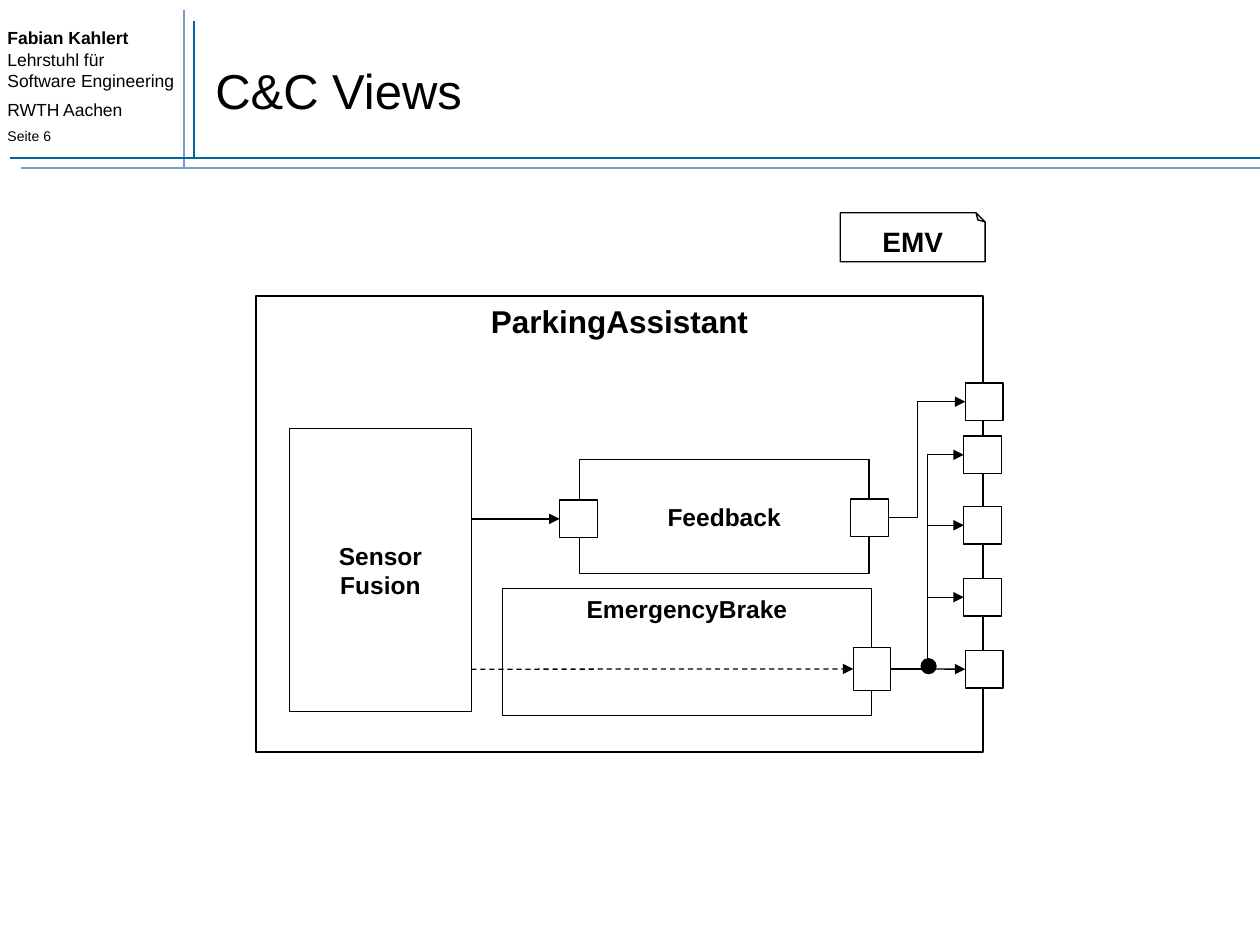
from pptx import Presentation
from pptx.dml.color import RGBColor
from pptx.enum.dml import MSO_LINE
from pptx.enum.shapes import MSO_CONNECTOR, MSO_SHAPE
from pptx.enum.text import MSO_ANCHOR, MSO_AUTO_SIZE, PP_ALIGN
from pptx.oxml.ns import qn
from pptx.util import Cm, Pt
from lxml import etree

BLACK = RGBColor(0x00, 0x00, 0x00)
WHITE = RGBColor(0xFF, 0xFF, 0xFF)
DARK_BLUE = RGBColor(0x00, 0x67, 0xA6)
LIGHT_BLUE = RGBColor(0x77, 0x9E, 0xC9)
FONT = "Arial"
STRAIGHT = MSO_CONNECTOR.STRAIGHT
ELBOW = MSO_CONNECTOR.ELBOW
RECTANGLE = MSO_SHAPE.RECTANGLE
FOLDED_CORNER = MSO_SHAPE.FOLDED_CORNER
OVAL = MSO_SHAPE.OVAL
DASH = MSO_LINE.DASH
TOP = MSO_ANCHOR.TOP
MIDDLE = MSO_ANCHOR.MIDDLE
CENTER = PP_ALIGN.CENTER
LEFT = PP_ALIGN.LEFT
NO_AUTOFIT = MSO_AUTO_SIZE.NONE
TITLE_ONLY = 5
LEFT_SIDE, RIGHT_SIDE = 1, 3
PORT_SIZE = 0.76


def add_run(paragraph, text, size, bold=False):
    run = paragraph.add_run()
    run.text = text
    run.font.name = FONT
    run.font.size = Pt(size)
    run.font.bold = bold
    run.font.color.rgb = BLACK


def set_guide(shape, name, value):
    geometry = shape._element.spPr.find(qn("a:prstGeom"))
    guides = geometry.find(qn("a:avLst"))
    if guides is None:
        guides = etree.SubElement(geometry, qn("a:avLst"))
    etree.SubElement(guides, qn("a:gd"), name=name, fmla=f"val {value}")


def add_figure(slide, kind, left, top, width, height, fill=WHITE):
    shape = slide.shapes.add_shape(kind, Cm(left), Cm(top), Cm(width), Cm(height))
    shape.shadow.inherit = False
    shape.fill.solid()
    shape.fill.fore_color.rgb = fill
    shape.line.color.rgb = BLACK
    shape.line.width = Pt(0.75)
    return shape


def add_label(shape, lines, size, anchor):
    frame = shape.text_frame
    frame.vertical_anchor = anchor
    for index, line in enumerate(lines):
        paragraph = frame.add_paragraph() if index else frame.paragraphs[0]
        paragraph.alignment = CENTER
        add_run(paragraph, line, size, True)


def add_component(slide, lines, box, size=14, anchor=MIDDLE):
    shape = add_figure(slide, RECTANGLE, *box)
    add_label(shape, lines, size, anchor)


def add_port(slide, left, top, height=PORT_SIZE):
    return add_figure(slide, RECTANGLE, left, top, PORT_SIZE, height)


def add_line(slide, start, end, color=BLACK, width=0.75, kind=STRAIGHT):
    connector = slide.shapes.add_connector(
        kind, Cm(start[0]), Cm(start[1]), Cm(end[0]), Cm(end[1]))
    connector.line.color.rgb = color
    connector.line.width = Pt(width)
    etree.SubElement(connector._element.spPr, qn("a:effectLst"))
    return connector


def add_arrow(slide, start, end, kind=STRAIGHT, dash=None):
    connector = add_line(slide, start, end, kind=kind)
    if dash:
        connector.line.dash_style = dash
    line = connector._element.spPr.find(qn("a:ln"))
    etree.SubElement(line, qn("a:tailEnd"), type="triangle")
    return connector


def add_elbow_arrow(slide, start, end, bend):
    connector = add_arrow(slide, start, end, ELBOW)
    set_guide(connector, "adj1", bend)


def add_header(slide):
    box = slide.shapes.add_textbox(Cm(-0.1), Cm(0.43), Cm(3.89), Cm(2.69))
    frame = box.text_frame
    frame.word_wrap = True
    author = frame.paragraphs[0]
    add_run(author, "Fabian Kahlert", 10, True)
    author.add_line_break()
    add_run(author, "Lehrstuhl für Software Engineering", 10)
    for text, size, space in (("RWTH Aachen", 10, 5), ("Seite 6", 8, 4)):
        paragraph = frame.add_paragraph()
        paragraph.space_before = Pt(space)
        add_run(paragraph, text, size)

    for start, end, color in (
        ((3.91, 3.18), (3.91, 0.43), DARK_BLUE),
        ((3.71, 3.38), (3.71, 0.2), LIGHT_BLUE),
        ((0.2, 3.18), (25.4, 3.18), DARK_BLUE),
        ((0.43, 3.38), (25.4, 3.38), LIGHT_BLUE),
    ):
        add_line(slide, start, end, color, 1)


def format_title(slide):
    title = slide.shapes.title
    title.left, title.top = Cm(4.09), Cm(0.64)
    title.width, title.height = Cm(21), Cm(2.34)
    frame = title.text_frame
    frame.auto_size = NO_AUTOFIT
    frame.vertical_anchor = MIDDLE
    frame.margin_left = frame.margin_right = Cm(0.25)
    frame.margin_top = frame.margin_bottom = Cm(0.25)
    paragraph = frame.paragraphs[0]
    paragraph.alignment = LEFT
    add_run(paragraph, "C&C Views", 28)


def add_view_tag(slide):
    tag = add_figure(slide, FOLDED_CORNER, 16.94, 4.29, 2.92, 0.99)
    set_guide(tag, "adj", 18500)
    tag._element.spPr.find(qn("a:xfrm")).set("flipV", "1")
    add_label(tag, ["EMV"], 16, MIDDLE)
    tag.text_frame.word_wrap = False
    tag.text_frame._txBody.find(qn("a:bodyPr")).set("rot", "10800000")


def add_diagram(slide):
    add_component(slide, ["ParkingAssistant"], (5.16, 5.97, 14.66, 9.19), 18, TOP)
    add_component(slide, ["Sensor", "Fusion"], (5.84, 8.64, 3.66, 5.71))
    add_component(slide, ["EmergencyBrake"], (10.13, 11.86, 7.44, 2.57), anchor=TOP)
    add_component(slide, ["Feedback"], (11.68, 9.27, 5.84, 2.29))

    feedback_input = add_port(slide, 11.28, 10.08)
    add_port(slide, 17.15, 10.06)
    brake_output = add_port(slide, 17.2, 13.05, 0.87)
    add_port(slide, 19.46, 7.72)
    last_output = add_port(slide, 19.46, 13.11)

    for top in (8.79, 10.21, 11.66):
        add_port(slide, 19.43, top)
        add_elbow_arrow(slide, (17.96, 13.49), (19.43, top + PORT_SIZE / 2), 50000)
    add_elbow_arrow(slide, (17.92, 10.44), (19.46, 8.1), 37500)

    output_arrow = add_arrow(slide, (17.96, 13.49), (19.46, 13.49))
    output_arrow.begin_connect(brake_output, RIGHT_SIDE)
    output_arrow.end_connect(last_output, LEFT_SIDE)
    add_figure(slide, OVAL, 18.57, 13.28, 0.3, 0.3, BLACK)

    feedback_arrow = add_arrow(slide, (9.5, 10.46), (11.28, 10.46))
    feedback_arrow.end_connect(feedback_input, LEFT_SIDE)
    brake_arrow = add_arrow(slide, (9.5, 13.49), (17.2, 13.49), dash=DASH)
    brake_arrow.end_connect(brake_output, LEFT_SIDE)


def main():
    presentation = Presentation()
    presentation.slide_width = Cm(25.4)
    presentation.slide_height = Cm(19.05)
    slide = presentation.slides.add_slide(presentation.slide_layouts[TITLE_ONLY])
    add_header(slide)
    format_title(slide)
    add_diagram(slide)
    add_view_tag(slide)
    presentation.save("out.pptx")


if __name__ == "__main__":
    main()
